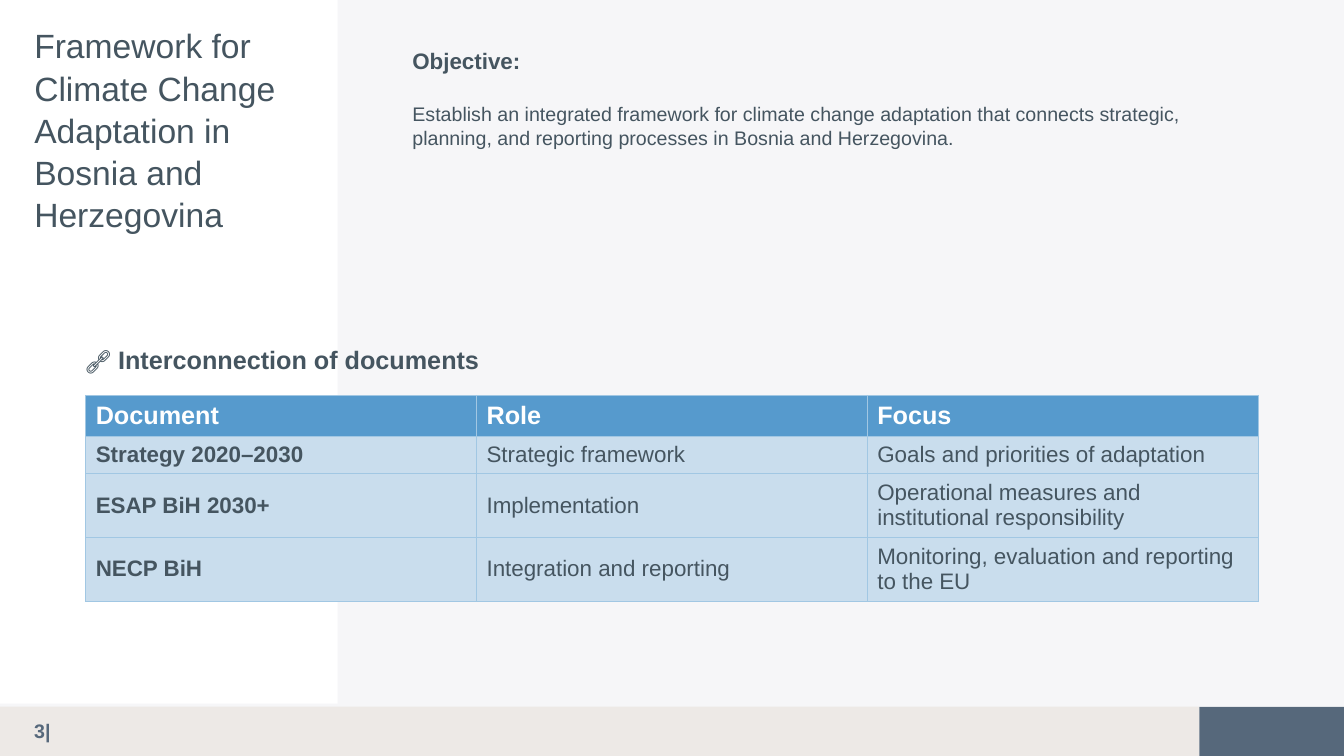
from lxml.etree import SubElement
from pptx import Presentation
from pptx.dml.color import RGBColor
from pptx.enum.shapes import MSO_SHAPE
from pptx.enum.text import MSO_ANCHOR, MSO_AUTO_SIZE, PP_ALIGN
from pptx.oxml import parse_xml
from pptx.oxml.ns import nsdecls, qn
from pptx.util import Inches, Pt

WIDTH, HEIGHT = Inches(13.33), Inches(7.5)
WHITE = RGBColor(0xFF, 0xFF, 0xFF)
PALE = RGBColor(0xF6, 0xF6, 0xF8)
SAND = RGBColor(0xED, 0xE9, 0xE6)
SLATE = RGBColor(0x56, 0x68, 0x7B)
INK = RGBColor(0x45, 0x55, 0x60)
BLUE = RGBColor(0x56, 0x9A, 0xCD)
LIGHT_BLUE = RGBColor(0xC9, 0xDD, 0xED)
BORDER = RGBColor(0xA1, 0xC7, 0xE3)

PANELS = [
    (SAND, 0, 93.33, 89.25, 6.67),
    (SLATE, 89.25, 93.47, 10.75, 6.53),
    (PALE, 0, 0, 100, 93.47),
    (WHITE, 0, 0, 25.13, 93.07),
]
ROW_SHARES = [5.47, 4.8, 8.4, 8.4]
DOCUMENTS = [
    ("Document", "Role", "Focus"),
    ("Strategy 2020–2030", "Strategic framework", "Goals and priorities of adaptation"),
    ("ESAP BiH 2030+", "Implementation", "Operational measures and institutional responsibility"),
    ("NECP BiH", "Integration and reporting", "Monitoring, evaluation and reporting to the EU"),
]


def area(left, top, width, height):
    """Turn percentages of the slide's size into lengths."""
    return (int(WIDTH * left / 100), int(HEIGHT * top / 100),
            int(WIDTH * width / 100), int(HEIGHT * height / 100))


def set_font(font, size, color=INK, bold=False):
    """Format a font in the deck's typeface."""
    font.name, font.size, font.bold = "Arial", Pt(size), bold
    font.color.rgb = color


def add_panel(page, color, *share):
    """Add a plain background rectangle."""
    panel = page.shapes.add_shape(MSO_SHAPE.RECTANGLE, *area(*share))
    panel.shadow.inherit = False
    panel.fill.solid()
    panel.fill.fore_color.rgb = color
    panel.line.fill.background()


def add_label(page, spans, size, color, anchor, *share):
    """Add a text box of one paragraph from (text, bold) spans."""
    box = page.shapes.add_textbox(*area(*share))
    box.text_frame.word_wrap = True
    box.text_frame.vertical_anchor = anchor
    para = box.text_frame.paragraphs[0]
    for text, bold in spans:
        span = para.add_run()
        span.text = text
        set_font(span.font, size, color, bold)


def raise_placeholder(box, *share):
    """Move a placeholder to its area, in front of everything drawn so far."""
    box.left, box.top, box.width, box.height = area(*share)
    box.element.getparent().append(box.element)
    frame = box.text_frame
    frame.word_wrap = True
    frame.auto_size = MSO_AUTO_SIZE.NONE
    frame.vertical_anchor = MSO_ANCHOR.TOP
    return frame


def fill_title(page):
    """Write the title on its white block."""
    frame = raise_placeholder(page.shapes.title, 1.8, 2.4, 20.48, 28.27)
    page.shapes.title.fill.solid()
    page.shapes.title.fill.fore_color.rgb = WHITE
    frame.text = "Framework for Climate Change Adaptation in Bosnia and Herzegovina"
    para = frame.paragraphs[0]
    para.alignment = PP_ALIGN.LEFT
    para.line_spacing = 1.05
    set_font(para.font, 24)


def fill_objective(page):
    """Write the objective and its explanation in the body placeholder."""
    frame = raise_placeholder(page.placeholders[1], 29.93, 5.6, 63.83, 14.8)
    frame.text = ("Objective:\nEstablish an integrated framework for climate change adaptation "
                  "that connects strategic, planning, and reporting processes in "
                  "Bosnia and Herzegovina.")
    for para, size, bold, gap in zip(frame.paragraphs, (16, 14), (True, False), (0, 20)):
        para.space_before = Pt(gap)
        properties = para._p.get_or_add_pPr()
        properties.set("marL", "0")
        properties.set("indent", "0")
        SubElement(properties, qn("a:buNone"))
        set_font(para.font, size, INK, bold)


def fill_cell(cell, text, size, color, bold, fill):
    """Write and format one bordered table cell."""
    cell.text = text
    cell.vertical_anchor = MSO_ANCHOR.MIDDLE
    set_font(cell.text_frame.paragraphs[0].font, size, color, bold)
    properties = cell._tc.get_or_add_tcPr()
    for side in "LRTB":
        properties.append(parse_xml(
            f'<a:ln{side} {nsdecls("a")} w="{Pt(0.5)}"><a:solidFill>'
            f'<a:srgbClr val="{BORDER}"/></a:solidFill></a:ln{side}>'))
    cell.fill.solid()
    cell.fill.fore_color.rgb = fill


def add_document_table(page):
    """Add the table of documents, roles and focus."""
    share = (6.38, 52.27, 87.23, sum(ROW_SHARES))
    table = page.shapes.add_table(len(DOCUMENTS), len(DOCUMENTS[0]), *area(*share)).table
    for row, (row_share, texts) in enumerate(zip(ROW_SHARES, DOCUMENTS)):
        table.rows[row].height = int(HEIGHT * row_share / 100)
        size, color, fill = (16, INK, LIGHT_BLUE) if row else (18, WHITE, BLUE)
        for column, text in enumerate(texts):
            bold = row == 0 or column == 0
            fill_cell(table.cell(row, column), text, size, color, bold, fill)


def main():
    """Build and save the slide."""
    deck = Presentation()
    deck.slide_width, deck.slide_height = WIDTH, HEIGHT
    page = deck.slides.add_slide(deck.slide_layouts[1])
    for panel in PANELS:
        add_panel(page, *panel)
    add_label(page, [("3|", True)], 14, SLATE, MSO_ANCHOR.MIDDLE, 1.8, 94.13, 5.33, 4.93)
    fill_objective(page)
    add_label(page, [("🔗 ", False), ("Interconnection of documents", True)], 18, INK,
              MSO_ANCHOR.TOP, 5.63, 44.93, 50.03, 5.33)
    add_document_table(page)
    fill_title(page)
    deck.save("out.pptx")


if __name__ == "__main__":
    main()
